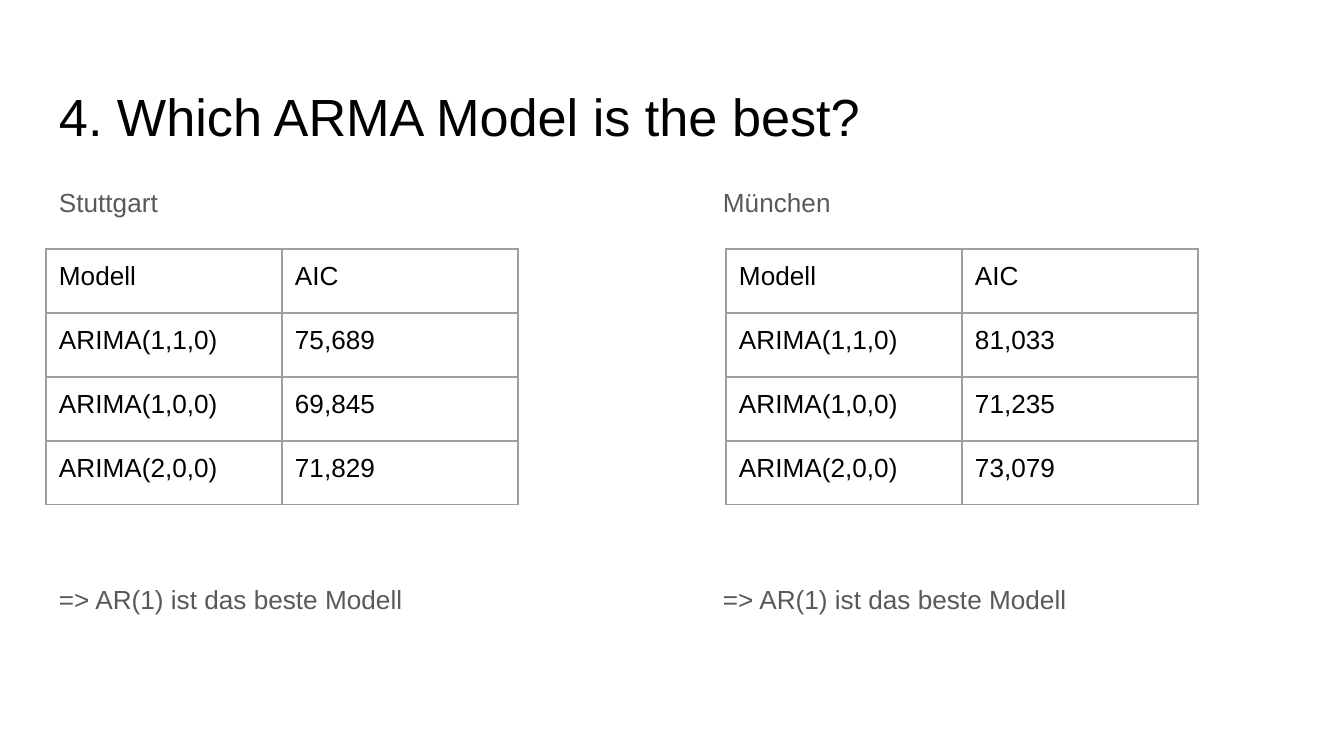
from dataclasses import dataclass

from lxml import etree
from pptx import Presentation
from pptx import util as u
from pptx.dml.color import RGBColor
from pptx.enum import text
from pptx.oxml.ns import qn

PX = 914400 / 134.4  # EMU in one px
INSET = 13
COLUMN_WIDTH, ROW_HEIGHT = 236, 64
TABLE_TOP = 249
MODELS = ("ARIMA(1,1,0)", "ARIMA(1,0,0)", "ARIMA(2,0,0)")
COLORS = {"ink": "000000", "body": "595959", "border": "9E9E9E"}


@dataclass(frozen=True)
class City:
    name: str
    text_left: int
    table_left: int
    aic: tuple[str, ...]
    conclusion: str = "=> AR(1) ist das beste Modell"


CITIES = (
    City("Stuttgart", 46, 46, ("75,689", "69,845", "71,829")),
    City("München", 710, 726, ("81,033", "71,235", "73,079")),
)


def px(length: int) -> u.Emu:
    return u.Emu(round(length * PX))


def set_insets(target) -> None:
    """Give a text frame or a table cell the same inset on all sides."""
    target.margin_left = target.margin_right = px(INSET)
    target.margin_top = target.margin_bottom = px(INSET)


def style(paragraph, size: int, color: str) -> None:
    paragraph.alignment = text.PP_ALIGN.LEFT
    paragraph.font.name = "Arial"
    paragraph.font.size = u.Pt(size)
    paragraph.font.color.rgb = RGBColor.from_string(COLORS[color])


def add_borders(cell) -> None:
    properties = cell._tc.get_or_add_tcPr()
    for index, side in enumerate(("a:lnL", "a:lnR", "a:lnT", "a:lnB")):
        line = etree.Element(qn(side), w=str(u.Pt(0.75)))
        fill = etree.SubElement(line, qn("a:solidFill"))
        etree.SubElement(fill, qn("a:srgbClr"), val=COLORS["border"])
        properties.insert(index, line)


def format_title(title, wording: str) -> None:
    title.left, title.top, title.width, title.height = map(px, (46, 66, 1253, 84))
    frame = title.text_frame
    set_insets(frame)
    frame.margin_top = px(18)
    frame.vertical_anchor = text.MSO_ANCHOR.TOP
    frame.auto_size = text.MSO_AUTO_SIZE.NONE
    frame.text = wording
    style(frame.paragraphs[0], 28, "ink")


def add_commentary(slide, city: City) -> None:
    """Put the city above its table and the conclusion below it."""
    box = slide.shapes.add_textbox(*map(px, (city.text_left, 169, 587, 503)))
    frame = box.text_frame
    frame.word_wrap = True
    set_insets(frame)
    heading, conclusion = frame.paragraphs[0], frame.add_paragraph()
    heading.text, conclusion.text = city.name, city.conclusion
    conclusion.space_before = u.Pt(193)
    for paragraph in (heading, conclusion):
        paragraph.line_spacing = 1.15
        style(paragraph, 14, "body")


def add_aic_table(slide, city: City) -> None:
    rows = [("Modell", "AIC"), *zip(MODELS, city.aic)]
    table = slide.shapes.add_table(
        len(rows), 2, px(city.table_left), px(TABLE_TOP),
        px(2 * COLUMN_WIDTH), px(len(rows) * ROW_HEIGHT),
    ).table
    table.first_row = table.horz_banding = False
    for row, values in enumerate(rows):
        for column, value in enumerate(values):
            cell = table.cell(row, column)
            cell.text = value
            cell.fill.background()
            set_insets(cell)
            style(cell.text_frame.paragraphs[0], 14, "ink")
            add_borders(cell)


def main() -> None:
    deck = Presentation()
    deck.slide_width, deck.slide_height = px(1344), px(756)
    slide = deck.slides.add_slide(deck.slide_layouts[5])
    format_title(slide.shapes.title, "4. Which ARMA Model is the best?")
    for city in CITIES:
        add_commentary(slide, city)
        add_aic_table(slide, city)
    deck.save("out.pptx")


if __name__ == "__main__":
    main()
